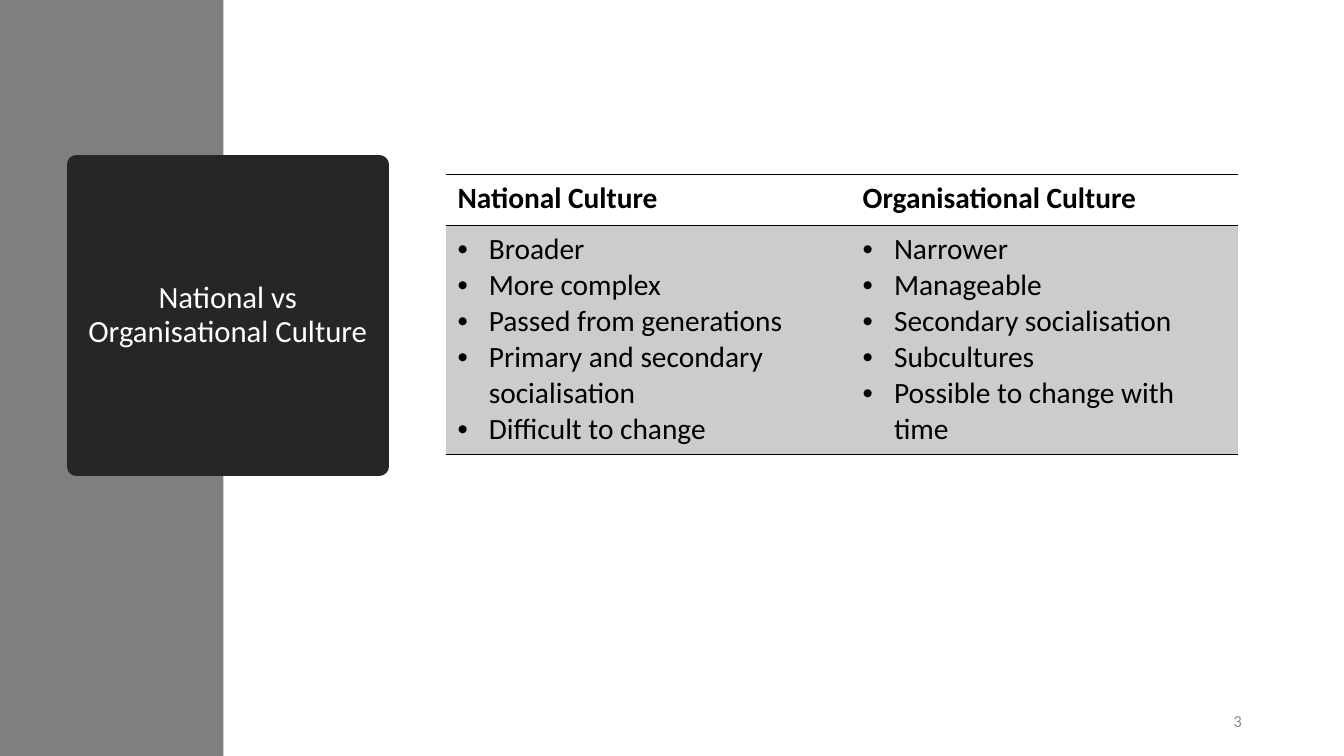
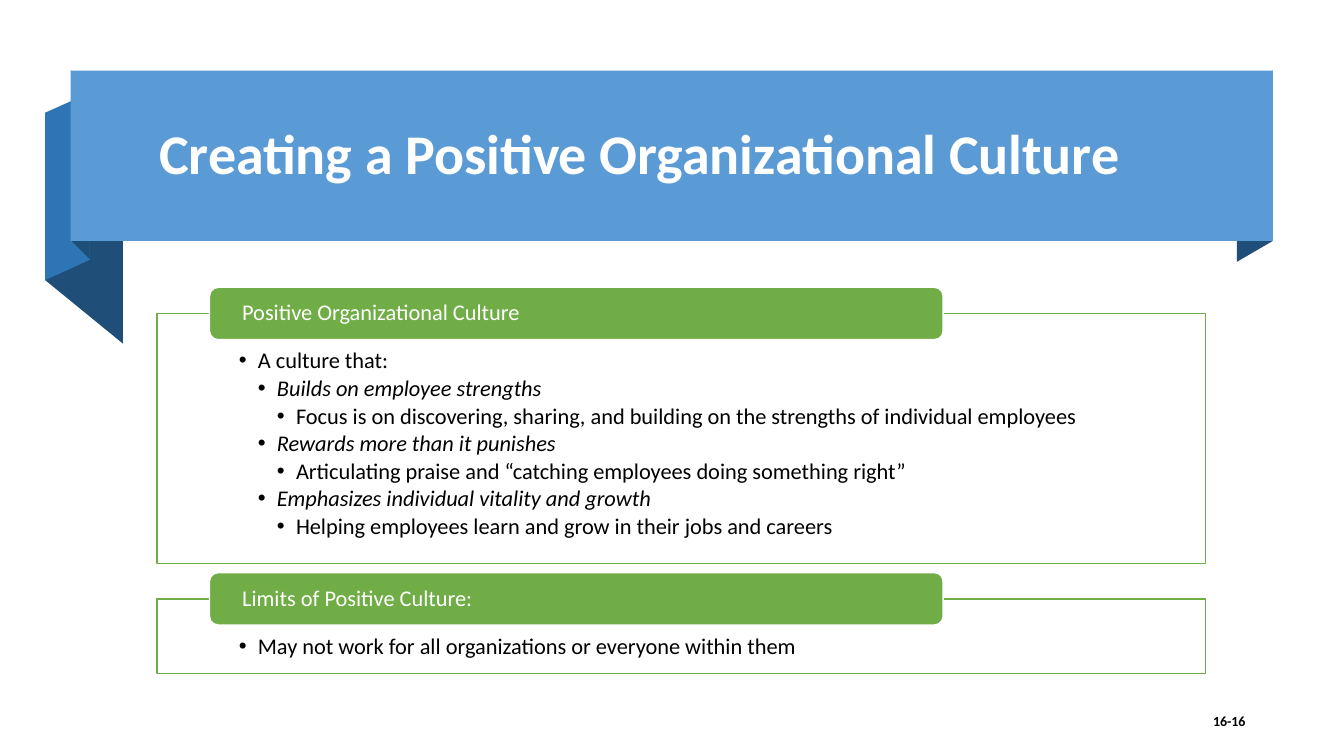
from lxml.etree import SubElement
from pptx import Presentation
from pptx.dml.color import RGBColor
from pptx.enum.shapes import MSO_SHAPE
from pptx.enum.text import MSO_ANCHOR, MSO_AUTO_SIZE, PP_ALIGN
from pptx.oxml.ns import qn
from pptx.util import Cm, Pt

FONT = "Calibri"
COLORS = {
    "white": "FFFFFF", "black": "000000", "side": "7F7F7F", "card": "262626",
    "number": "8C8C8C", "cell": "CCCCCC", "banner": "5B9BD5",
    "fold": "2E75B6", "shade": "1F4E79", "green": "70AD47",
}
TITLE_ONLY, TWO_CONTENT = 5, 3

COMPARISON = [
    ("National Culture", ["Broader", "More complex", "Passed from generations",
                          "Primary and secondary socialisation", "Difficult to change"]),
    ("Organisational Culture", ["Narrower", "Manageable", "Secondary socialisation",
                                "Subcultures", "Possible to change with time"]),
]
PANELS = [
    ("Positive Organizational Culture", (3.96, 7.9, 26.42, 6.3), [
        (0, "A culture that:"),
        (1, "Builds on employee strengths"),
        (2, "Focus is on discovering, sharing, and building on the strengths of individual employees"),
        (1, "Rewards more than it punishes"),
        (2, "Articulating praise and “catching employees doing something right”"),
        (1, "Emphasizes individual vitality and growth"),
        (2, "Helping employees learn and grow in their jobs and careers"),
    ]),
    ("Limits of Positive Culture:", (3.96, 15.09, 26.42, 1.88), [
        (0, "May not work for all organizations or everyone within them"),
    ]),
]


def color(name):
    """Return the palette colour of that name."""
    return RGBColor.from_string(COLORS[name])


def lengths(box):
    """Turn centimetres into lengths."""
    return [Cm(value) for value in box]


def place(shape, box):
    """Move and size a shape to the box."""
    shape.left, shape.top, shape.width, shape.height = lengths(box)


def paint(shape, fill, line=None, width=1):
    """Fill and outline a shape without a shadow."""
    shape.fill.solid()
    shape.fill.fore_color.rgb = color(fill)
    if line:
        shape.line.color.rgb = color(line)
        shape.line.width = Pt(width)
    else:
        shape.line.fill.background()


def add_block(slide, kind, box, fill, line=None):
    """Add a painted preset shape."""
    shape = slide.shapes.add_shape(kind, *lengths(box))
    shape.shadow.inherit = False
    paint(shape, fill, line)
    return shape


def set_frame(frame, anchor, insets=(0.25, 0.13, 0.25, 0.13)):
    """Set wrapping, anchor and insets of a text frame."""
    frame.word_wrap = True
    frame.auto_size = MSO_AUTO_SIZE.NONE
    frame.vertical_anchor = anchor
    (frame.margin_left, frame.margin_top,
     frame.margin_right, frame.margin_bottom) = lengths(insets)


def add_run(paragraph, text, size, ink, bold=False, italic=False):
    """Add one formatted run."""
    run = paragraph.add_run()
    run.text = text
    run.font.name = FONT
    run.font.size = Pt(size)
    run.font.bold = bold
    run.font.italic = italic
    run.font.color.rgb = color(ink)


def add_bullet(paragraph, left, hanging):
    """Give a paragraph a bullet with a hanging indent."""
    properties = paragraph._p.get_or_add_pPr()
    properties.set("marL", str(Cm(left)))
    properties.set("indent", str(-Cm(hanging)))
    SubElement(properties, qn("a:buFont"), typeface="Arial")
    SubElement(properties, qn("a:buChar"), char="•")


def next_paragraph(frame, index):
    """Return the first paragraph or a new one."""
    return frame.add_paragraph() if index else frame.paragraphs[0]


def set_title(slide, text, box, size, alignment, bold=False, insets=(0.25, 0.13, 0.25, 0.13)):
    """Place the title placeholder in front and write the title."""
    title = slide.shapes.title
    title.element.getparent().append(title.element)
    place(title, box)
    set_frame(title.text_frame, MSO_ANCHOR.MIDDLE, insets)
    paragraph = title.text_frame.paragraphs[0]
    paragraph.alignment = alignment
    paragraph.line_spacing = 0.9
    add_run(paragraph, text, size, "white", bold)
    return title


def add_page_number(slide, text, box, size, ink, bold=False):
    """Write the page number at the right of the box."""
    frame = slide.shapes.add_textbox(*lengths(box)).text_frame
    set_frame(frame, MSO_ANCHOR.MIDDLE)
    paragraph = frame.paragraphs[0]
    paragraph.alignment = PP_ALIGN.RIGHT
    paragraph.space_after = Pt(6)
    add_run(paragraph, text, size, ink, bold)


def set_borders(cell):
    """Rule a cell above and below only."""
    properties = cell._tc.get_or_add_tcPr()
    for position, side in enumerate(("lnL", "lnR", "lnT", "lnB")):
        line = SubElement(properties, qn(f"a:{side}"), w=str(Pt(1)))
        if side in ("lnT", "lnB"):
            fill = SubElement(line, qn("a:solidFill"))
            SubElement(fill, qn("a:srgbClr"), val=COLORS["black"])
        else:
            SubElement(line, qn("a:noFill"))
        properties.insert(position, line)


def add_comparison(slide, box, widths, heights):
    """Add the table with one column per kind of culture."""
    table = slide.shapes.add_table(len(heights), len(widths), *lengths(box)).table
    table.first_row = table.horz_banding = False
    for row, height in zip(table.rows, heights):
        row.height = Cm(height)
    for number, (heading, points) in enumerate(COMPARISON):
        table.columns[number].width = Cm(widths[number])
        for row, lines in enumerate(([heading], points)):
            cell = table.cell(row, number)
            (cell.margin_left, cell.margin_top,
             cell.margin_right, cell.margin_bottom) = lengths((0.3, 0.15, 0.3, 0.15))
            cell.fill.solid()
            cell.fill.fore_color.rgb = color("cell" if row else "white")
            set_borders(cell)
            for index, line in enumerate(lines):
                paragraph = next_paragraph(cell.text_frame, index)
                if row:
                    add_bullet(paragraph, 0.79, 0.79)
                add_run(paragraph, line, 21, "black", bold=row == 0)


def add_ribbon(slide, box):
    """Draw a banner with its folded ends."""
    left, top, width, height = box
    folds = [
        ("shade", [(width, height), (width - 0.91, 4.82), (width - 0.91, 0.53), (width, 0)]),
        ("shade", [(1.32, 6.88), (-0.64, 5.28), (-0.64, 1.06), (1.32, 2.67)]),
        ("fold", [(0.48, 4.77), (-0.64, 5.28), (-0.64, 1.06), (0.48, 0.56)]),
        ("shade", [(0.48, 4.75), (0.02, height), (0.02, 0), (0.48, 0.48)]),
    ]
    for fill, corners in folds:
        points = [(Cm(left + x), Cm(top + y)) for x, y in corners]
        builder = slide.shapes.build_freeform(*points[0])
        builder.add_line_segments(points[1:], close=True)
        fold = builder.convert_to_shape()
        fold.shadow.inherit = False
        paint(fold, fill)
    add_block(slide, MSO_SHAPE.RECTANGLE, box, "banner")


def fill_panel(slide, body, heading, box, items):
    """Frame a list and set its heading tab on the top edge."""
    place(body, box)
    paint(body, "white", "green")
    set_frame(body.text_frame, MSO_ANCHOR.TOP, (2.06, 0.91, 2.06, 0.3))
    for index, (level, text) in enumerate(items):
        paragraph = next_paragraph(body.text_frame, index)
        paragraph.level = level
        add_bullet(paragraph, 0.48 * (level + 1), 0.48)
        paragraph.line_spacing = 0.9
        paragraph.space_before = Pt(0)
        paragraph.space_after = Pt(2.4)
        add_run(paragraph, text, 16, "black", italic=level == 1)
    left, top = box[:2]
    tab = add_block(slide, MSO_SHAPE.ROUNDED_RECTANGLE,
                    (left + 1.32, top - 0.66, 18.49, 1.32), "green", "white")
    set_frame(tab.text_frame, MSO_ANCHOR.MIDDLE, (0.76, 0, 0.76, 0))
    paragraph = tab.text_frame.paragraphs[0]
    paragraph.alignment = PP_ALIGN.LEFT
    paragraph.line_spacing = 0.9
    add_run(paragraph, heading, 16, "white")


def build_comparison_slide(presentation):
    """Build the slide that compares two kinds of culture."""
    slide = presentation.slides.add_slide(presentation.slide_layouts[TITLE_ONLY])
    add_block(slide, MSO_SHAPE.RECTANGLE, (0, 0, 5.63, 19.05), "side")
    title = set_title(slide, "National vs Organisational Culture", (1.93, 4.14, 7.62, 7.62),
                      22, PP_ALIGN.CENTER, insets=(0.15, 0.13, 0.15, 0.13))
    paint(title, "card", "card", 13.75)
    add_page_number(slide, "3", (27.46, 17.65, 4.09, 1.02), 12, "number")
    add_comparison(slide, (11.23, 4.39, 19.96, 7.07), (10.21, 9.75), (1.3, 5.77))


def build_panel_slide(presentation):
    """Build the slide with a ribbon title and framed lists."""
    slide = presentation.slides.add_slide(presentation.slide_layouts[TWO_CONTENT])
    add_ribbon(slide, (1.78, 1.78, 30.3, 4.29))
    set_title(slide, "Creating a Positive Organizational Culture",
              (3.76, 2.11, 27.79, 3.68), 40, PP_ALIGN.LEFT, bold=True)
    add_page_number(slide, "16-16", (29.74, 17.73, 1.9, 0.89), 10, "black", bold=True)
    for index, (heading, box, items) in enumerate(PANELS, start=1):
        fill_panel(slide, slide.placeholders[index], heading, box, items)


def main():
    """Build and save the presentation."""
    presentation = Presentation()
    presentation.slide_width, presentation.slide_height = Cm(33.87), Cm(19.05)
    build_comparison_slide(presentation)
    build_panel_slide(presentation)
    presentation.save("out.pptx")


if __name__ == "__main__":
    main()
